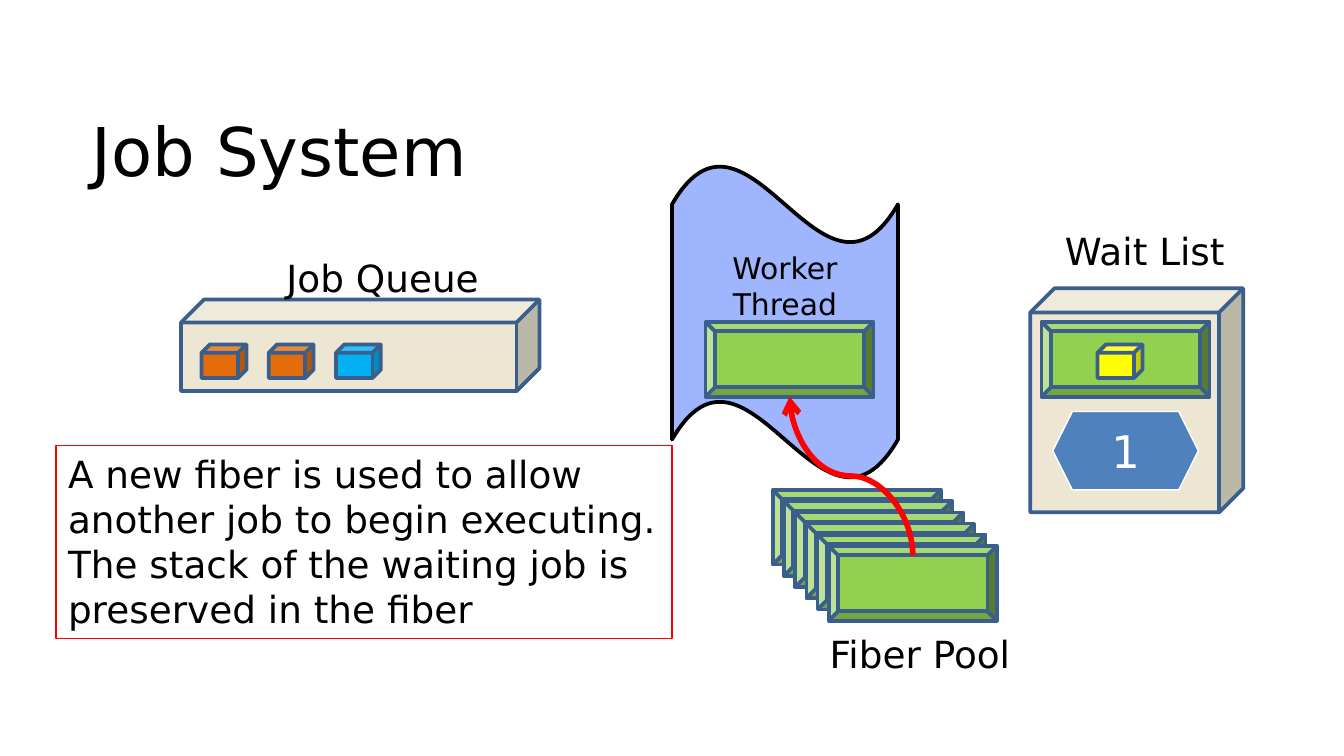
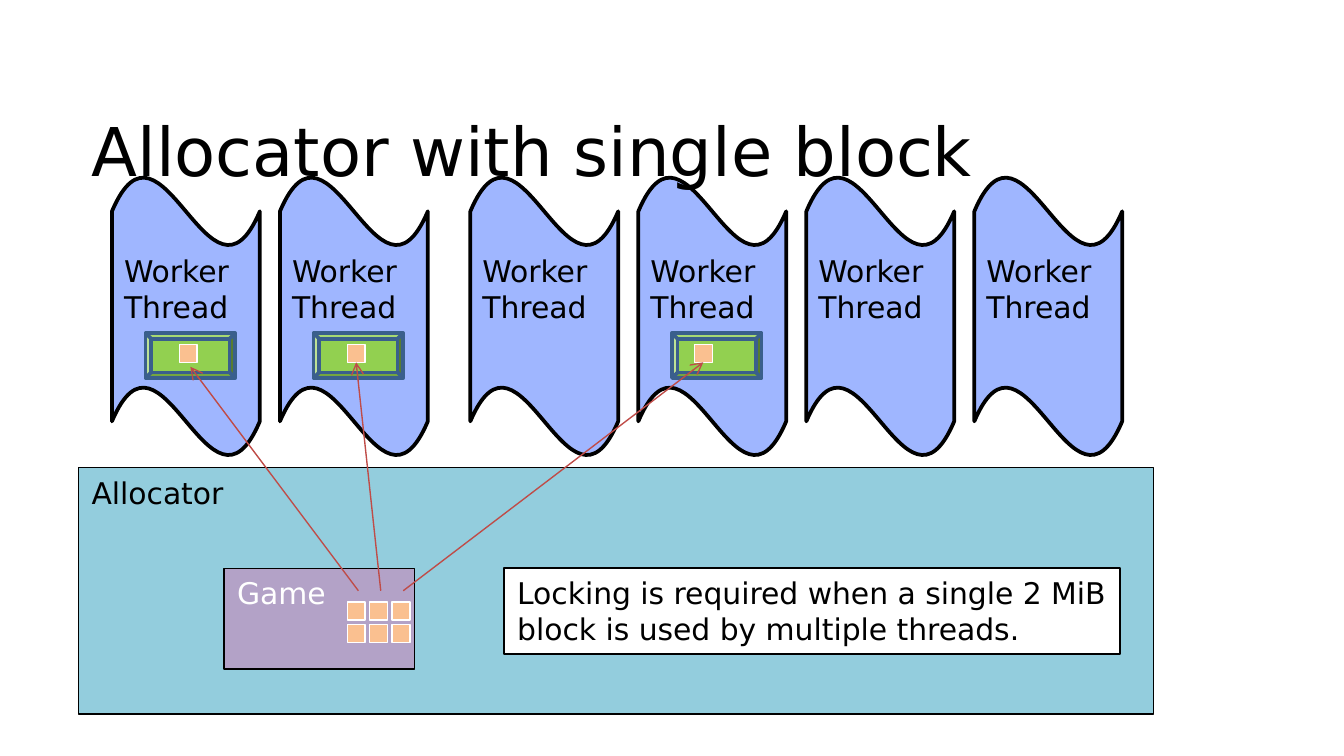
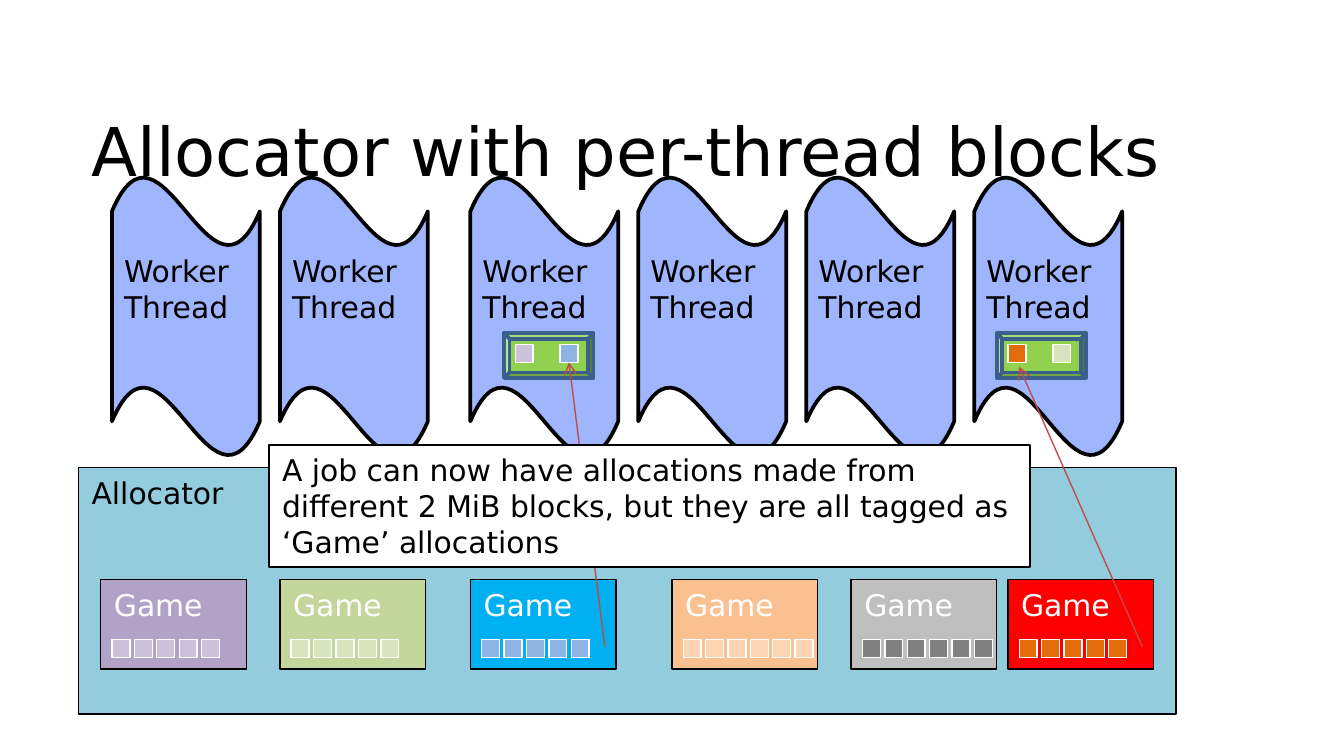
from dataclasses import dataclass
from typing import NamedTuple, Optional, Sequence

from lxml.etree import SubElement
from pptx import Presentation
from pptx.dml.color import RGBColor
from pptx.enum.shapes import MSO_CONNECTOR as Link, MSO_SHAPE as Preset
from pptx.enum.text import MSO_ANCHOR as Anchor, MSO_AUTO_SIZE as AutoSize, PP_ALIGN as Align
from pptx.oxml.ns import qn
from pptx.util import Pt

FONT = "DejaVu Sans"
BLACK = RGBColor(0x00, 0x00, 0x00)
WHITE = RGBColor(0xFF, 0xFF, 0xFF)
RED = RGBColor(0xFF, 0x00, 0x00)
YELLOW = RGBColor(0xFF, 0xFF, 0x00)
PERIWINKLE = RGBColor(0x9F, 0xB6, 0xFF)
GREEN = RGBColor(0x92, 0xD0, 0x50)
NAVY = RGBColor(0x3A, 0x5F, 0x8C)
BLUE = RGBColor(0x4F, 0x81, 0xBD)
SKY = RGBColor(0x00, 0xB0, 0xF0)
SAND = RGBColor(0xEC, 0xE6, 0xD2)
ORANGE = RGBColor(0xE4, 0x6C, 0x0A)
TEAL = RGBColor(0x93, 0xCD, 0xDD)
PURPLE = RGBColor(0xB3, 0xA2, 0xC7)
LILAC = RGBColor(0xCC, 0xC1, 0xDA)
OLIVE = RGBColor(0xC3, 0xD6, 0x9B)
PALE_OLIVE = RGBColor(0xD7, 0xE4, 0xBD)
PALE_BLUE = RGBColor(0x8E, 0xB4, 0xE3)
PEACH = RGBColor(0xFA, 0xC0, 0x90)
PALE_PEACH = RGBColor(0xFC, 0xD5, 0xB5)
SILVER = RGBColor(0xBF, 0xBF, 0xBF)
GRAY = RGBColor(0x80, 0x80, 0x80)
BRICK = RGBColor(0xBF, 0x4C, 0x48)

SNUG = (6.5, 3.25)
ROOMY = (7.2, 3.6)
WORKER_LEFTS = (60, 150, 252, 342, 432, 522)
ALLOCATION_SIZE = 9.6
ALLOCATION_PITCH = 12
JOB_ROW = 184.5
SMALL_FIBER_ROW = 178.5


class Box(NamedTuple):
    left: float
    top: float
    width: float
    height: float


@dataclass(frozen=True)
class Look:
    preset: Preset
    fill: Optional[RGBColor]
    line: RGBColor
    weight: float


@dataclass(frozen=True)
class Words:
    paragraphs: Sequence[str]
    size: float = 16
    color: RGBColor = BLACK
    align: Align = Align.LEFT
    anchor: Anchor = Anchor.TOP
    margins: tuple[float, float] = ROOMY
    wrap: bool = True
    grow: bool = False
    spacing: float = 1.0


@dataclass(frozen=True)
class Block:
    left: float
    fill: RGBColor
    allocation: RGBColor
    count: int


WORKER = Look(Preset.WAVE, PERIWINKLE, BLACK, 2)
FIBER = Look(Preset.BEVEL, GREEN, NAVY, 2)
CONTAINER = Look(Preset.CUBE, SAND, NAVY, 2)
ALLOCATOR = Look(Preset.RECTANGLE, TEAL, BLACK, 0.75)
CALLOUT = Look(Preset.RECTANGLE, WHITE, BLACK, 1)
RED_NOTE = Look(Preset.RECTANGLE, None, RED, 0.75)
COUNTER = Look(Preset.HEXAGON, BLUE, WHITE, 0.75)

BLOCKS = (
    Block(54, PURPLE, LILAC, 5),
    Block(150, OLIVE, PALE_OLIVE, 5),
    Block(252, SKY, PALE_BLUE, 5),
    Block(360, PEACH, PALE_PEACH, 6),
    Block(456, SILVER, GRAY, 6),
    Block(540, RED, ORANGE, 5),
)


def write(shape, words: Words) -> None:
    frame = shape.text_frame
    side, edge = words.margins
    settings = {
        "word_wrap": words.wrap,
        "auto_size": AutoSize.SHAPE_TO_FIT_TEXT if words.grow else AutoSize.NONE,
        "vertical_anchor": words.anchor,
        "margin_left": Pt(side),
        "margin_right": Pt(side),
        "margin_top": Pt(edge),
        "margin_bottom": Pt(edge),
    }
    for key, value in settings.items():
        setattr(frame, key, value)
    for index, text in enumerate(words.paragraphs):
        paragraph = frame.add_paragraph() if index else frame.paragraphs[0]
        paragraph.alignment = words.align
        paragraph.line_spacing = words.spacing
        run = paragraph.add_run()
        run.text = text
        for key, value in {"name": FONT, "size": Pt(words.size)}.items():
            setattr(run.font, key, value)
        run.font.color.rgb = words.color


def draw(slide, box: Box, look: Look, words: Optional[Words] = None):
    shape = slide.shapes.add_shape(look.preset, *map(Pt, box))
    shape.shadow.inherit = False
    if look.fill is None:
        shape.fill.background()
    else:
        shape.fill.solid()
        shape.fill.fore_color.rgb = look.fill
    shape.line.color.rgb = look.line
    shape.line.width = Pt(look.weight)
    if words:
        write(shape, words)
    return shape


def add_text(slide, box: Box, words: Words) -> None:
    write(slide.shapes.add_textbox(*map(Pt, box)), words)


def add_title(slide, text: str) -> None:
    add_text(slide, Box(42, 52.5, 636, 61.5),
             Words([text], size=36, anchor=Anchor.MIDDLE, spacing=0.88))


def add_label(slide, box: Box, text: str) -> None:
    add_text(slide, box, Words([text], size=20, margins=SNUG, wrap=False, grow=True))


def add_arrow(slide, start: tuple[float, float], end: tuple[float, float],
              color: RGBColor = BRICK, weight: float = 0.75, kind: Link = Link.STRAIGHT):
    arrow = slide.shapes.add_connector(kind, *map(Pt, (*start, *end)))
    arrow.line.color.rgb = color
    arrow.line.width = Pt(weight)
    SubElement(arrow.line._get_or_add_ln(), qn("a:tailEnd"), type="arrow")
    SubElement(arrow._element.spPr, qn("a:effectLst"))
    return arrow


def add_rising_curve(slide, start: tuple[float, float], end: tuple[float, float]) -> None:
    """Draw a curved arrow that leaves and arrives vertically (a quarter turn of the preset)."""
    middle_x, middle_y = (start[0] + end[0]) / 2, (start[1] + end[1]) / 2
    half_rise, half_run = (start[1] - end[1]) / 2, (start[0] - end[0]) / 2
    curve = add_arrow(slide, (middle_x - half_rise, middle_y + half_run),
                      (middle_x + half_rise, middle_y - half_run), RED, 3, Link.CURVE)
    curve._element.spPr.find(qn("a:xfrm")).set("rot", str(270 * 60000))


def add_job(slide, left: float, color: RGBColor) -> None:
    draw(slide, Box(left, JOB_ROW, 24, 18), Look(Preset.CUBE, color, NAVY, 2))


def add_fiber(slide, left: float, top: float) -> None:
    draw(slide, Box(left, top, 90, 40), FIBER)


def add_small_fiber(slide, left: float) -> None:
    draw(slide, Box(left, SMALL_FIBER_ROW, 48, 24), FIBER)


def add_allocation(slide, left: float, top: float, color: RGBColor):
    return draw(slide, Box(left, top, ALLOCATION_SIZE, ALLOCATION_SIZE),
                Look(Preset.RECTANGLE, color, WHITE, 0.75))


def add_workers(slide) -> None:
    for left in WORKER_LEFTS:
        draw(slide, Box(left, 94.5, 79.2, 150), WORKER,
             Words(["Worker Thread"], margins=SNUG))


def add_allocator(slide, width: float) -> None:
    draw(slide, Box(42, 250.5, width, 132), ALLOCATOR, Words(["Allocator"]))


def add_game_block(slide, box: Box, color: RGBColor) -> None:
    draw(slide, box, Look(Preset.RECTANGLE, color, BLACK, 0.75),
         Words(["Game"], color=WHITE))


def build_job_system(slide) -> None:
    draw(slide, Box(360, 88.5, 121, 168), WORKER,
         Words(["Worker Thread"], align=Align.CENTER, margins=SNUG))
    add_title(slide, "Job System")
    draw(slide, Box(30, 238.5, 330, 103.5), RED_NOTE,
         Words(["A new fiber is used to allow another job to begin executing.",
                "The stack of the waiting job is preserved in the fiber"],
               size=20, margins=SNUG, grow=True))

    draw(slide, Box(97, 160.5, 192, 49), CONTAINER)
    add_label(slide, Box(147, 133.2, 119.5, 31), "Job Queue")
    for index, color in enumerate((ORANGE, ORANGE, SKY)):
        add_job(slide, 108 + 36 * index, color)

    add_fiber(slide, 378, 172.5)
    for index in range(6):
        add_fiber(slide, 414 + 6 * index, 262.5 + 6 * index)

    wait_list = draw(slide, Box(552, 154.5, 114, 120), CONTAINER)
    wait_list.adjustments[0] = 0.113
    add_label(slide, Box(564, 118.8, 100, 31), "Wait List")
    add_fiber(slide, 558, 172.5)
    add_job(slide, 588, YELLOW)

    add_rising_curve(slide, (489, 297.5), (423, 212.5))
    add_label(slide, Box(438, 334.8, 112.3, 31), "Fiber Pool")
    draw(slide, Box(564, 220.5, 78, 42), COUNTER,
         Words(["1"], size=24, color=WHITE, align=Align.CENTER, anchor=Anchor.MIDDLE))


def build_single_block(slide) -> None:
    add_workers(slide)
    for left in (78, 168, 360):
        add_small_fiber(slide, left)
    add_title(slide, "Allocator with single block")
    add_allocator(slide, 576)
    add_game_block(slide, Box(120, 304.5, 102, 54), PURPLE)
    draw(slide, Box(270, 304.5, 330, 46), CALLOUT,
         Words(["Locking is required when a single 2 MiB block is used by multiple threads."],
               grow=True))
    for row in range(2):
        for column in range(3):
            add_allocation(slide, 186 + ALLOCATION_PITCH * column,
                           322.5 + ALLOCATION_PITCH * row, PEACH)

    first, second, third = [add_allocation(slide, left, JOB_ROW, PEACH)
                            for left in (96, 186, 372)]
    add_arrow(slide, (192, 316.5), (102, 196.5))
    add_arrow(slide, (204, 316.5), (190.8, 194.1)).end_connect(second, 2)
    add_arrow(slide, (216, 316.5), (376.8, 194.1)).end_connect(third, 2)


def build_per_thread_blocks(slide) -> None:
    add_title(slide, "Allocator with per-thread blocks")
    add_allocator(slide, 588)
    add_workers(slide)
    for block in BLOCKS:
        add_game_block(slide, Box(block.left, 310.5, 78, 48), block.fill)
        for index in range(block.count):
            add_allocation(slide, block.left + 6 + ALLOCATION_PITCH * index,
                           342.75, block.allocation)

    for left in (534, 270):
        add_small_fiber(slide, left)
    add_allocation(slide, 276, JOB_ROW, LILAC)
    add_allocation(slide, 564, JOB_ROW, PALE_OLIVE)
    blue_allocation = add_allocation(slide, 300, JOB_ROW, PALE_BLUE)
    add_allocation(slide, 540, JOB_ROW, ORANGE)
    add_arrow(slide, (324, 346.5), (304.8, 194.1)).end_connect(blue_allocation, 2)
    add_arrow(slide, (612, 346.5), (546, 196.5))
    draw(slide, Box(144, 238.5, 408, 65.5), CALLOUT,
         Words(["A job can now have allocations made from different 2 MiB blocks, "
                "but they are all tagged as ‘Game’ allocations"], grow=True))


def main() -> None:
    deck = Presentation()
    deck.slide_width, deck.slide_height = Pt(720), Pt(405)
    for build in (build_job_system, build_single_block, build_per_thread_blocks):
        build(deck.slides.add_slide(deck.slide_layouts[6]))
    deck.save("out.pptx")


if __name__ == "__main__":
    main()
